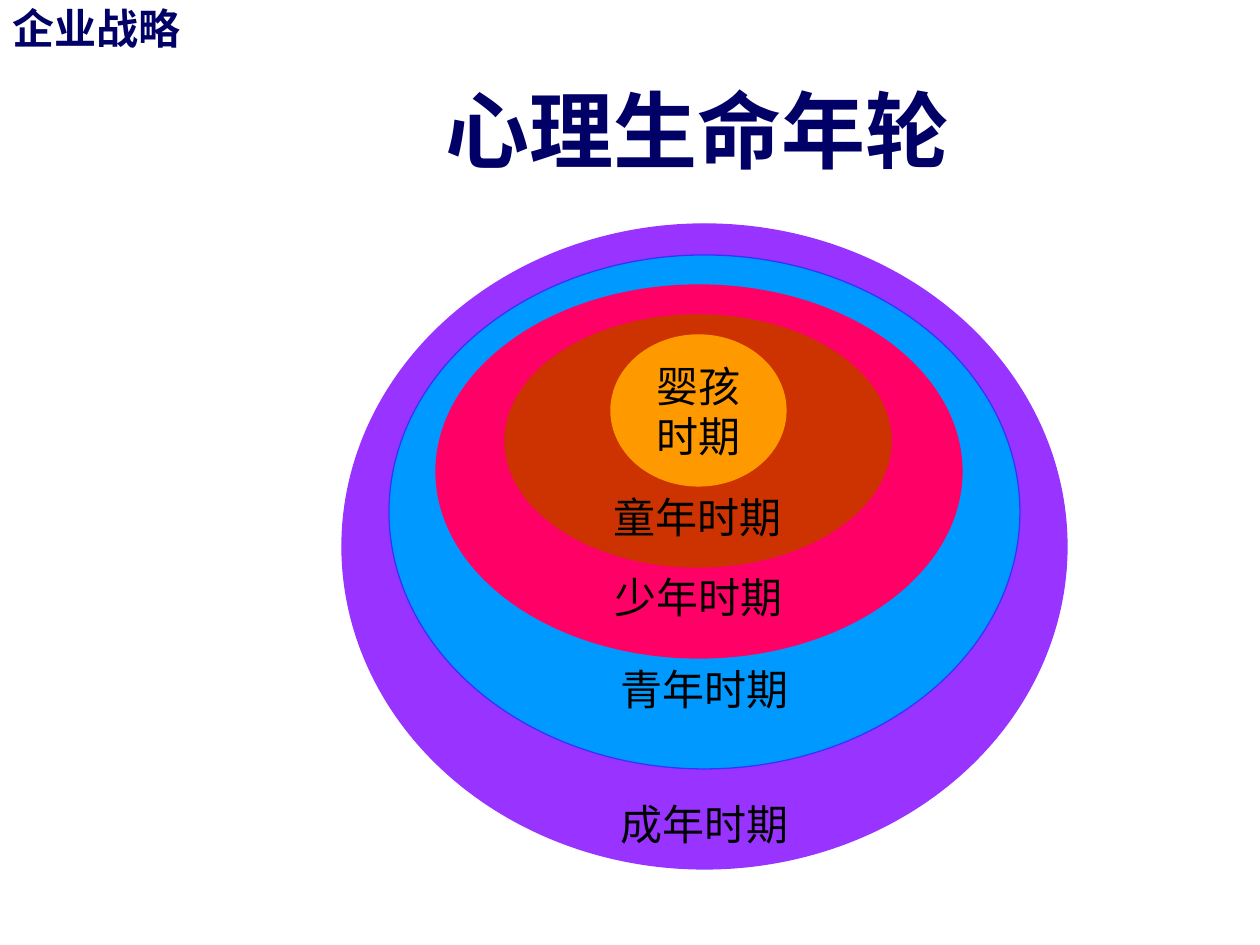
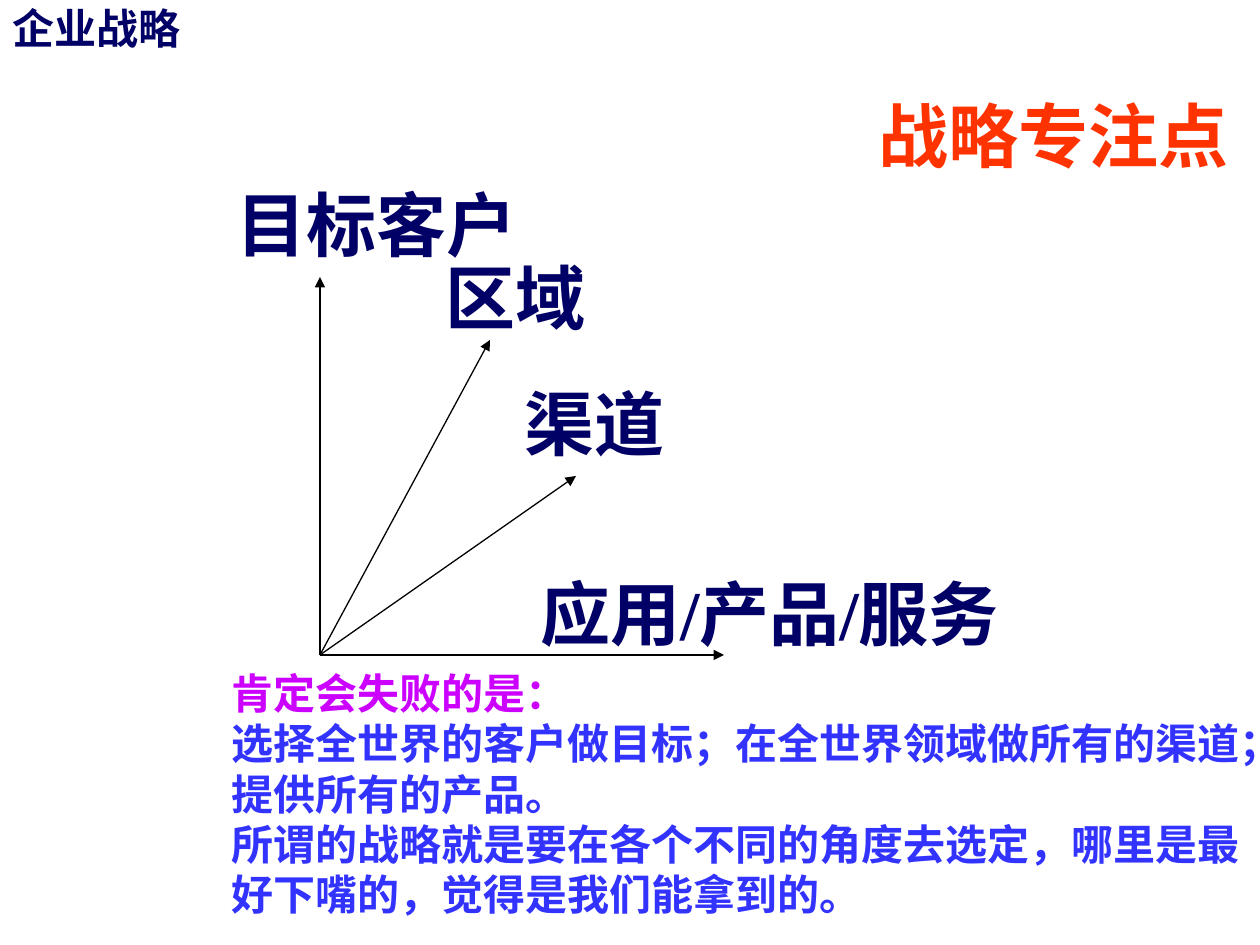
from lxml import etree
from pptx import Presentation
from pptx.dml.color import RGBColor
from pptx.enum.lang import MSO_LANGUAGE_ID as LANG
from pptx.enum.shapes import MSO_CONNECTOR as CONN, MSO_SHAPE as SHAPE
from pptx.enum.text import MSO_ANCHOR as ANCHOR, MSO_AUTO_SIZE as AUTO, PP_ALIGN as ALIGN
from pptx.oxml.ns import qn
from pptx.util import Emu, Pt

PX_PER_INCH = 126
FONT = "Times New Roman"
NAVY, BLACK, ORANGE_RED = "000066", "000000", "FF3300"
MAGENTA, BLUE = "CC00FF", "3333FF"
TITLE_ONLY, TITLE_AND_BODY = 5, 1


def px(n):
    return Emu(round(n * 914400 / PX_PER_INCH))


def rgb(value):
    return RGBColor.from_string(value)


def write(sp, lines, size, bold=True, align=ALIGN.LEFT, anchor=ANCHOR.TOP, wrap=True):
    """Fill a shape with one paragraph per (text, colour) pair."""
    tf = sp.text_frame
    tf.auto_size = AUTO.NONE
    tf.word_wrap = wrap
    tf.vertical_anchor = anchor
    for i, (text, color) in enumerate(lines):
        p = tf.paragraphs[0] if i == 0 else tf.add_paragraph()
        p.alignment = align
        p.space_before = Pt(0)
        r = p.add_run()
        r.text = text
        f = r.font
        f.name, f.size, f.bold = FONT, Pt(size), bold
        f.color.rgb = rgb(color)
        f.language_id = LANG.SIMPLIFIED_CHINESE


def place(sp, x, y, w, h):
    sp.left, sp.top, sp.width, sp.height = px(x), px(y), px(w), px(h)


def text_box(slide, text, x, y, w, h, size, color=NAVY, **style):
    sp = slide.shapes.add_textbox(px(x), px(y), px(w), px(h))
    write(sp, [(text, color)], size, **style)


def add_slide(prs, layout):
    """New slide with the running header."""
    slide = prs.slides.add_slide(prs.slide_layouts[layout])
    text_box(slide, "企业战略", 0, -4, 210, 63, 24)
    return slide


def set_title(slide, text, x, y, w, h, size, color):
    place(slide.shapes.title, x, y, w, h)
    write(slide.shapes.title, [(text, color)], size)


def set_body(slide, lines, x, y, w, h, size):
    sp = slide.placeholders[1]
    place(sp, x, y, w, h)
    write(sp, lines, size)
    for p in sp.text_frame.paragraphs:
        pPr = p._p.get_or_add_pPr()
        pPr.set("marL", "0")
        pPr.set("indent", "0")
        etree.SubElement(pPr, qn("a:buNone"))


def ellipse(slide, x, y, w, h, fill, line):
    sp = slide.shapes.add_shape(SHAPE.OVAL, px(x), px(y), px(w), px(h))
    sp.shadow.inherit = False
    sp.fill.solid()
    sp.fill.fore_color.rgb = rgb(fill)
    sp.line.color.rgb = rgb(line)
    sp.line.width = Pt(0.75)
    return sp


def arrow(slide, start, end):
    cx = slide.shapes.add_connector(CONN.STRAIGHT, *map(px, start + end))
    cx.line.color.rgb = rgb(BLACK)
    cx.line.width = Pt(0.75)
    etree.SubElement(cx.line._get_or_add_ln(), qn("a:tailEnd"), type="triangle")
    etree.SubElement(cx._element.spPr, qn("a:effectLst"))


def life_rings_slide(prs):
    slide = add_slide(prs, TITLE_ONLY)
    set_title(slide, "心理生命年轮", 433, 72, 540, 113, 48, NAVY)

    # Rings from the outermost inwards: box, fill, line, label and its top
    rings = [
        (342, 224, 725, 645, "9933FF", "9933FF", "成年时期", 792),
        (389, 255, 631, 514, "0099FF", BLUE, "青年时期", 657),
        (436, 285, 526, 373, "FF0066", "FF0066", "少年时期", 565),
        (505, 315, 386, 252, "CC3300", "CC3300", "童年时期", 485),
    ]
    label_w = 200
    for x, y, w, h, fill, line, label, label_y in rings:
        ellipse(slide, x, y, w, h, fill, line)
        text_box(slide, label, x + (w - label_w) / 2, label_y, label_w, 63, 24,
                 BLACK, bold=False, align=ALIGN.CENTER)

    # Core
    core = ellipse(slide, 611, 335, 175, 151, "FF9900", "FF9900")
    write(core, [("婴孩", BLACK), ("时期", BLACK)], 24, bold=False,
          align=ALIGN.CENTER, anchor=ANCHOR.MIDDLE, wrap=False)


def focus_slide(prs):
    slide = add_slide(prs, TITLE_AND_BODY)
    set_title(slide, "战略专注点", 866, 86, 394, 97, 40, ORANGE_RED)

    # Axes: arrow tip, then label with its left, top and width
    origin = (320, 655)
    axes = [
        ((320, 277), "目标客户", 224, 175, 310),
        ((490, 340), "区域", 433, 248, 172),
        ((576, 476), "渠道", 512, 374, 172),
        ((724, 655), "应用/产品/服务", 528, 564, 570),
    ]
    for tip, label, x, y, w in axes:
        arrow(slide, origin, tip)
        text_box(slide, label, x, y, w, 97, 40)

    # Conclusion
    set_body(slide, [
        ("肯定会失败的是：", MAGENTA),
        ("选择全世界的客户做目标；在全世界领域做所有的渠道；提供所有的产品。", BLUE),
        ("所谓的战略就是要在各个不同的角度去选定，哪里是最好下嘴的，觉得是我们能拿到的。", BLUE),
    ], 219, 661, 1041, 265, 24)


def main():
    prs = Presentation()
    prs.slide_width, prs.slide_height = px(1260), px(945)
    life_rings_slide(prs)
    focus_slide(prs)
    prs.save("out.pptx")


if __name__ == "__main__":
    main()
